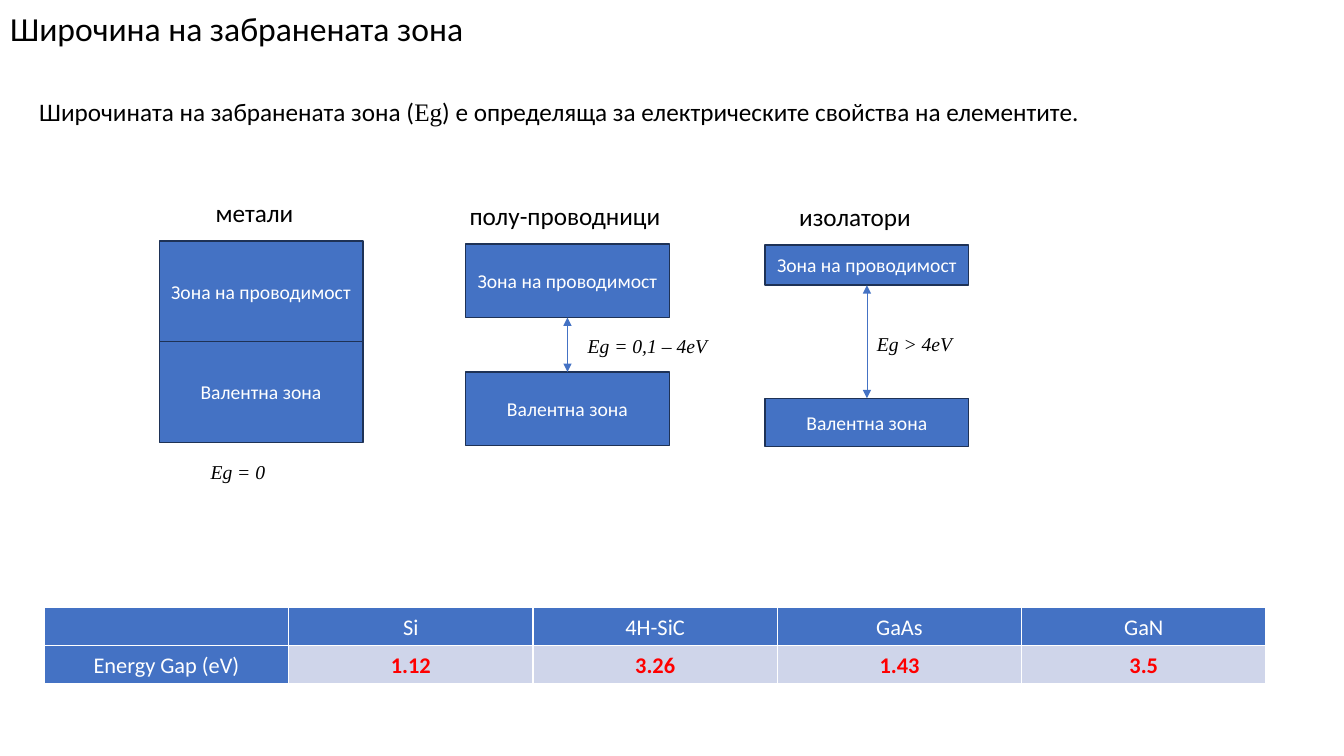
from collections import namedtuple
from pptx import Presentation, util as u
from pptx.dml.color import RGBColor
from pptx.enum import shapes, text
from pptx.oxml.ns import qn
from lxml import etree

TITLE = "Широчина на забранената зона"
SENTENCE = [
    ("Широчината на забранената зона (", "sans"),
    ("Eg", "serif"),
    (") е определяща за електрическите свойства на елементите.", "sans"),
]
CONDUCTION, VALENCE = "Зона на проводимост", "Валентна зона"

Material = namedtuple(
    "Material", "name name_x name_w x top upper gap lower energy energy_x energy_y energy_w")
MATERIALS = [
    Material("метали", 15.3, 7.35, 11.85, 31.87, 13.33, 0, 13.33,
             "Eg = 0", 14.93, 60.13, 7.2),
    Material("полу-проводници", 34.2, 15.83, 34.65, 32.27, 9.73, 7.2, 9.73,
             "Eg = 0,1 – 4eV", 42.98, 43.47, 13.73),
    Material("изолатори", 58.73, 9.9, 56.93, 32.4, 5.33, 14.94, 6.4,
             "Eg > 4eV", 64.5, 43.2, 13.73),
]
ENERGY_TABLE = [
    ["", "Si", "4H-SiC", "GaAs", "GaN"],
    ["Energy Gap (eV)", "1.12", "3.26", "1.43", "3.5"],
]

THEME = {
    "sans": "Calibri", "serif": "Times New Roman",
    "title": 24, "body": 18, "cell": 16, "band": 14,
    "black": "000000", "white": "FFFFFF", "blue": "4472C4",
    "navy": "1E3256", "pale": "CFD5EA", "red": "FF0000",
}
BAND_W = 15.15
NAME_RISE, NAME_H, ENERGY_H = 6.4, 5.33, 4.53

prs = Presentation()
prs.slide_width, prs.slide_height = u.Inches(13.33), u.Inches(7.5)
s = prs.slides.add_slide(prs.slide_layouts[5])


def color(name):
    return RGBColor.from_string(THEME[name])


def col(share):
    return round(prs.slide_width * share / 100)


def row(share):
    return round(prs.slide_height * share / 100)


def box(x, y, w, h):
    return col(x), row(y), col(w), row(h)


def add_run(p, words, size, ink="black", font="sans", bold=False, italic=False):
    r = p.add_run()
    r.text = words
    r.font.name, r.font.size = THEME[font], u.Pt(THEME[size])
    r.font.bold, r.font.italic = bold, italic
    r.font.color.rgb = color(ink)


def add_text(place, runs, size, wrap=True, italic=False):
    tf = s.shapes.add_textbox(*box(*place)).text_frame
    tf.word_wrap = wrap
    for words, font in runs:
        add_run(tf.paragraphs[0], words, size, font=font, italic=italic)


def add_band(x, y, h, words):
    sp = s.shapes.add_shape(shapes.MSO_SHAPE.RECTANGLE, *box(x, y, BAND_W, h))
    sp.shadow.inherit = False
    sp.fill.solid()
    sp.fill.fore_color.rgb = color("blue")
    sp.line.color.rgb = color("navy")
    sp.line.width = u.Pt(1)
    tf = sp.text_frame
    tf.word_wrap = True
    tf.vertical_anchor = text.MSO_ANCHOR.MIDDLE
    p = tf.paragraphs[0]
    p.alignment = text.PP_ALIGN.CENTER
    add_run(p, words, "band", "white")


def add_gap_arrow(x, top, bottom):
    c = s.shapes.add_connector(
        shapes.MSO_CONNECTOR.STRAIGHT, col(x), row(top), col(x), row(bottom))
    c.line.color.rgb = color("blue")
    c.line.width = u.Pt(0.5)
    ln = c.line._get_or_add_ln()
    for end in ("a:headEnd", "a:tailEnd"):
        etree.SubElement(ln, qn(end), type="triangle")
    etree.SubElement(c._element.spPr, qn("a:effectLst"))


def add_borders(cell):
    tcPr = cell._tc.get_or_add_tcPr()
    for i, side in enumerate(("a:lnL", "a:lnR", "a:lnT", "a:lnB")):
        ln = etree.Element(qn(side), w=str(u.Pt(1)))
        fill = etree.SubElement(ln, qn("a:solidFill"))
        etree.SubElement(fill, qn("a:srgbClr"), val=THEME["white"])
        tcPr.insert(i, ln)


def fill_cell(cell, words, is_value):
    cell.fill.solid()
    cell.fill.fore_color.rgb = color("pale" if is_value else "blue")
    cell.margin_left = cell.margin_right = u.Inches(0.01)
    cell.margin_top = cell.margin_bottom = u.Inches(0.01)
    cell.vertical_anchor = text.MSO_ANCHOR.MIDDLE
    add_borders(cell)
    if words:
        p = cell.text_frame.paragraphs[0]
        p.alignment = text.PP_ALIGN.CENTER
        p.line_spacing, p.space_after = 1.07, u.Pt(8)
        add_run(p, words, "cell", "red" if is_value else "white", bold=is_value)


title = s.shapes.title
title.left, title.top, title.width, title.height = box(0, 0.4, 68.63, 8.53)
tf = title.text_frame
tf.auto_size = text.MSO_AUTO_SIZE.NONE
tf.vertical_anchor = text.MSO_ANCHOR.TOP
tf.paragraphs[0].alignment = text.PP_ALIGN.LEFT
add_run(tf.paragraphs[0], TITLE, "title")

add_text((2.18, 12.13, 95.7, 5.33), SENTENCE, "body")

for m in MATERIALS:
    gap_top = m.top + m.upper
    gap_bottom = gap_top + m.gap
    add_text((m.name_x, m.top - NAME_RISE, m.name_w, NAME_H),
             [(m.name, "sans")], "body", wrap=False)
    add_band(m.x, m.top, m.upper, CONDUCTION)
    add_band(m.x, gap_bottom, m.lower, VALENCE)
    add_text((m.energy_x, m.energy_y, m.energy_w, ENERGY_H),
             [(m.energy, "serif")], "band", italic=True)
    if m.gap:
        add_gap_arrow(m.x + BAND_W / 2, gap_top, gap_bottom)

table = s.shapes.add_table(
    len(ENERGY_TABLE), len(ENERGY_TABLE[0]), *box(3.3, 80.4, 90.9, 10)).table
for i, line in enumerate(ENERGY_TABLE):
    for j, words in enumerate(line):
        fill_cell(table.cell(i, j), words, i > 0 and j > 0)

prs.save("out.pptx")
